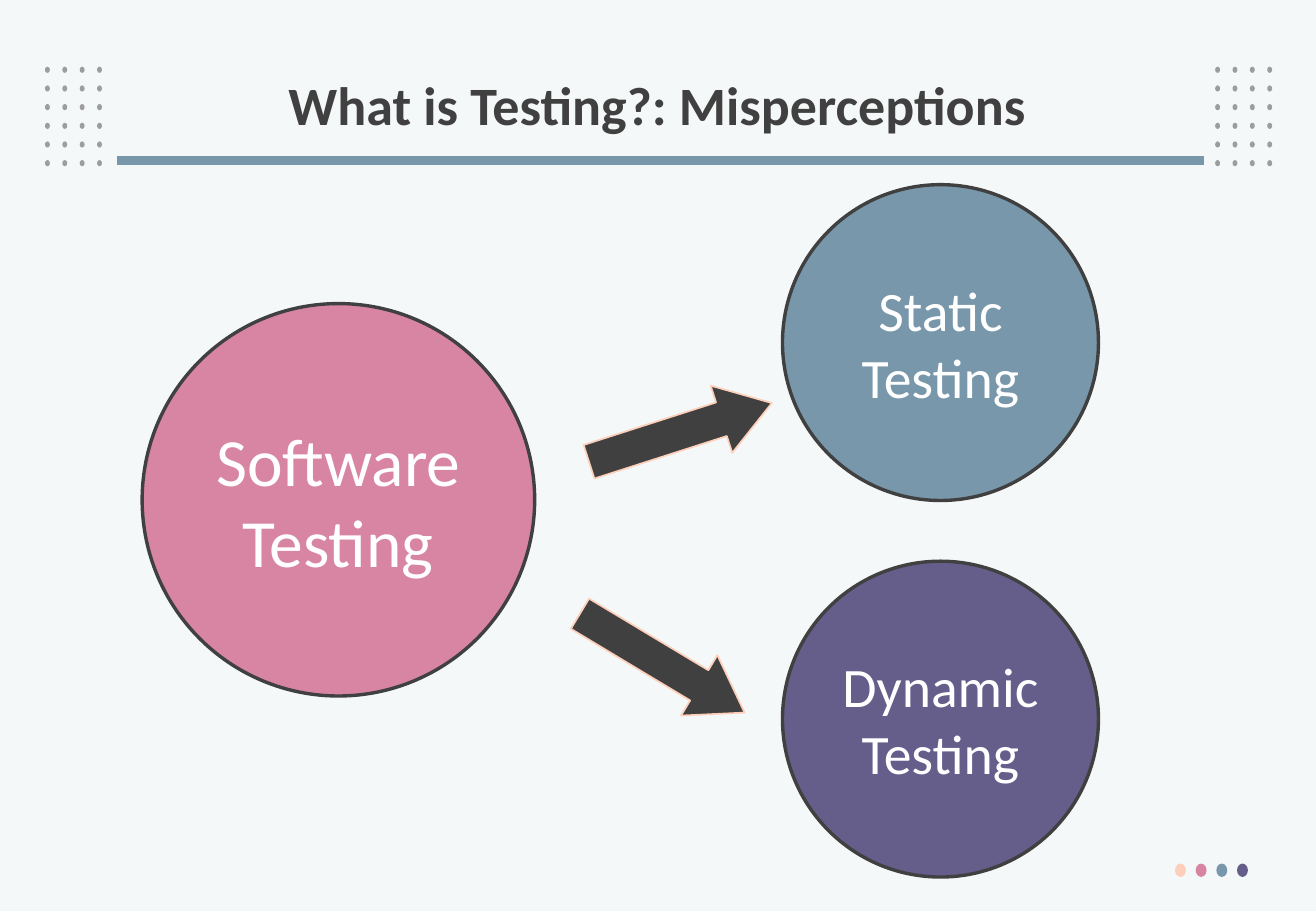
from itertools import product

from lxml.etree import SubElement
from pptx import Presentation
from pptx.dml.color import RGBColor
from pptx.enum.shapes import MSO_CONNECTOR as Connector, MSO_SHAPE as Shape
from pptx.enum.text import MSO_ANCHOR as Anchor, PP_ALIGN as Align
from pptx.oxml.ns import qn
from pptx.util import Inches, Pt

BACKGROUND = RGBColor(0xF5, 0xF8, 0xF9)
DARK = RGBColor(0x40, 0x40, 0x40)
GREY = RGBColor(0x9D, 0x9D, 0x9D)
WHITE = RGBColor(0xFF, 0xFF, 0xFF)
PEACH = RGBColor(0xFD, 0xCE, 0xB9)
PINK = RGBColor(0xD8, 0x85, 0xA3)
BLUE = RGBColor(0x78, 0x97, 0xAB)
PURPLE = RGBColor(0x65, 0x5D, 0x8A)


class SlideBuilder:
    """Draws styled elements on one slide, placed in percent of its width and height."""

    font_name = "Calibri"

    def __init__(self, presentation):
        self.width = presentation.slide_width
        self.height = presentation.slide_height
        self.slide = presentation.slides.add_slide(presentation.slide_layouts[6])
        self.slide.background.fill.solid()
        self.slide.background.fill.fore_color.rgb = BACKGROUND

    def across(self, percent):
        return round(self.width * percent / 100)

    def down(self, percent):
        return round(self.height * percent / 100)

    def box(self, left, top, width, height):
        return self.across(left), self.down(top), self.across(width), self.down(height)

    def label(self, shape, text, size, color, bold=False):
        frame = shape.text_frame
        frame.text = text
        frame.word_wrap = True
        frame.vertical_anchor = Anchor.MIDDLE
        paragraph = frame.paragraphs[0]
        paragraph.alignment = Align.CENTER
        font = paragraph.runs[0].font
        font.name, font.size, font.bold = self.font_name, Pt(size), bold
        font.color.rgb = color
        return paragraph

    def shape(self, kind, box, fill, line=None, line_width=1):
        shape = self.slide.shapes.add_shape(kind, *box)
        shape.shadow.inherit = False
        shape.fill.solid()
        shape.fill.fore_color.rgb = fill
        if line is None:
            shape.line.fill.background()
        else:
            shape.line.color.rgb = line
            shape.line.width = Pt(line_width)
        return shape

    def dot_grid(self, left, top, columns=4, rows=6):
        for row, column in product(range(rows), range(columns)):
            box = self.box(left + column * 1.32, top + row * 2.05, 0.37, 0.67)
            self.shape(Shape.OVAL, box, GREY)

    def color_dots(self, left, top, colors):
        for index, color in enumerate(colors):
            self.shape(Shape.OVAL, self.box(left + index * 1.57, top, 0.83, 1.47), color)

    def rule(self, left, right, top, color, width):
        start, end, level = self.across(left), self.across(right), self.down(top)
        line = self.slide.shapes.add_connector(Connector.STRAIGHT, start, level, end, level)
        line.line.color.rgb = color
        line.line.width = Pt(width)
        SubElement(line._element.spPr, qn("a:effectLst"))

    def title(self, left, top, width, height, text):
        title = self.slide.shapes.add_textbox(*self.box(left, top, width, height))
        self.label(title, text, 32, DARK, bold=True).line_spacing = 0.9

    def circle(self, left, top, diameter, fill, text, size, side_margin):
        side = self.down(diameter)
        box = self.across(left), self.down(top), side, side
        circle = self.shape(Shape.OVAL, box, fill, DARK, 2)
        self.label(circle, text, size, WHITE)
        frame = circle.text_frame
        frame.margin_left = frame.margin_right = self.across(side_margin)

    def arrow(self, left, top, rotation):
        arrow = self.shape(Shape.RIGHT_ARROW, self.box(left, top, 14.59, 7.73), DARK, PEACH)
        arrow.adjustments[0] = 0.5
        arrow.adjustments[1] = 0.75
        arrow.rotation = rotation


def main():
    presentation = Presentation()
    presentation.slide_width = Inches(10.83)
    presentation.slide_height = Inches(7.5)
    builder = SlideBuilder(presentation)

    for left in (3.42, 92.34):
        builder.dot_grid(left, 7.33)
    builder.rule(8.86, 91.51, 17.6, BLUE, 5.25)
    builder.color_dots(89.29, 94.8, (PEACH, PINK, BLUE, PURPLE))
    builder.title(6.83, 5.33, 86.24, 13.07, "What is Testing?: Misperceptions")

    builder.circle(10.8, 33.33, 43.07, PINK, "Software Testing", 40, 0.92)
    builder.circle(59.46, 20.27, 34.67, BLUE, "Static Testing", 33, 0.37)
    builder.circle(59.46, 61.6, 34.67, PURPLE, "Dynamic Testing", 33, 0.37)
    builder.arrow(44.41, 43.6, 342.2)
    builder.arrow(43.03, 68.93, 31)

    presentation.save("out.pptx")


if __name__ == "__main__":
    main()
